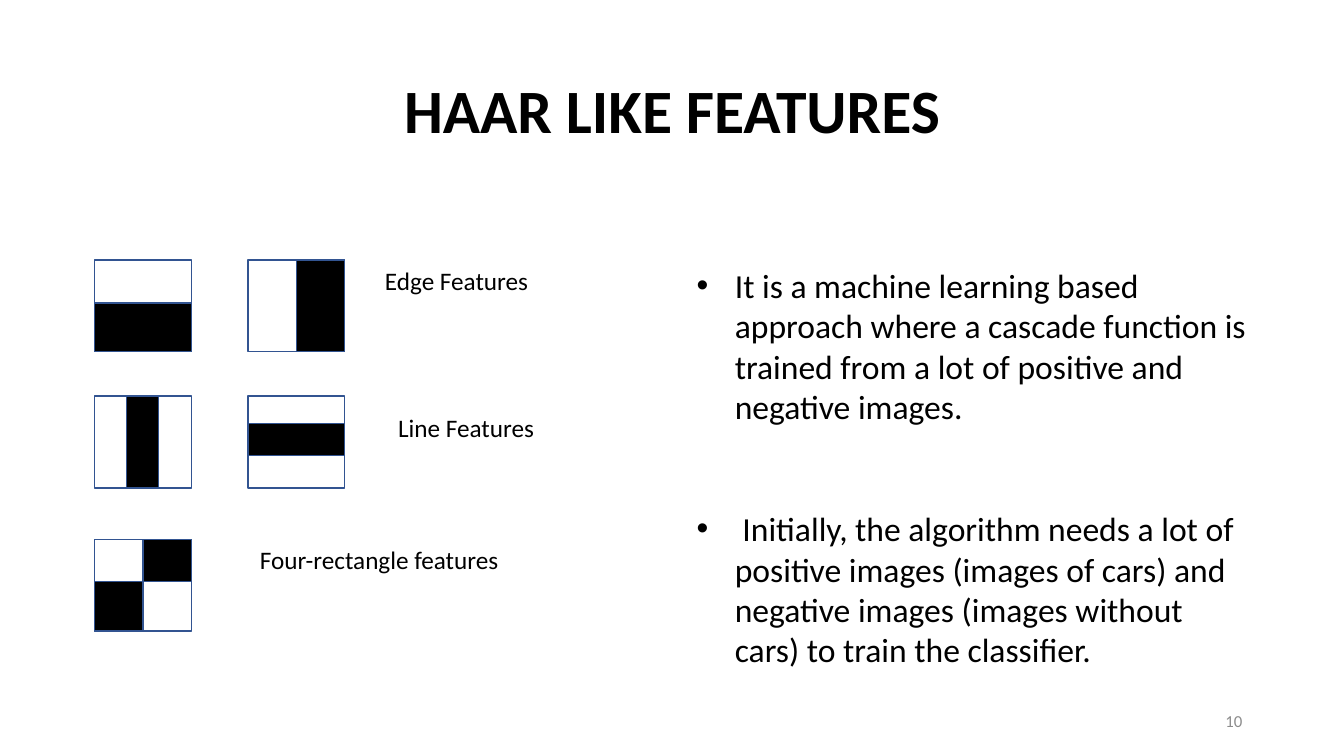
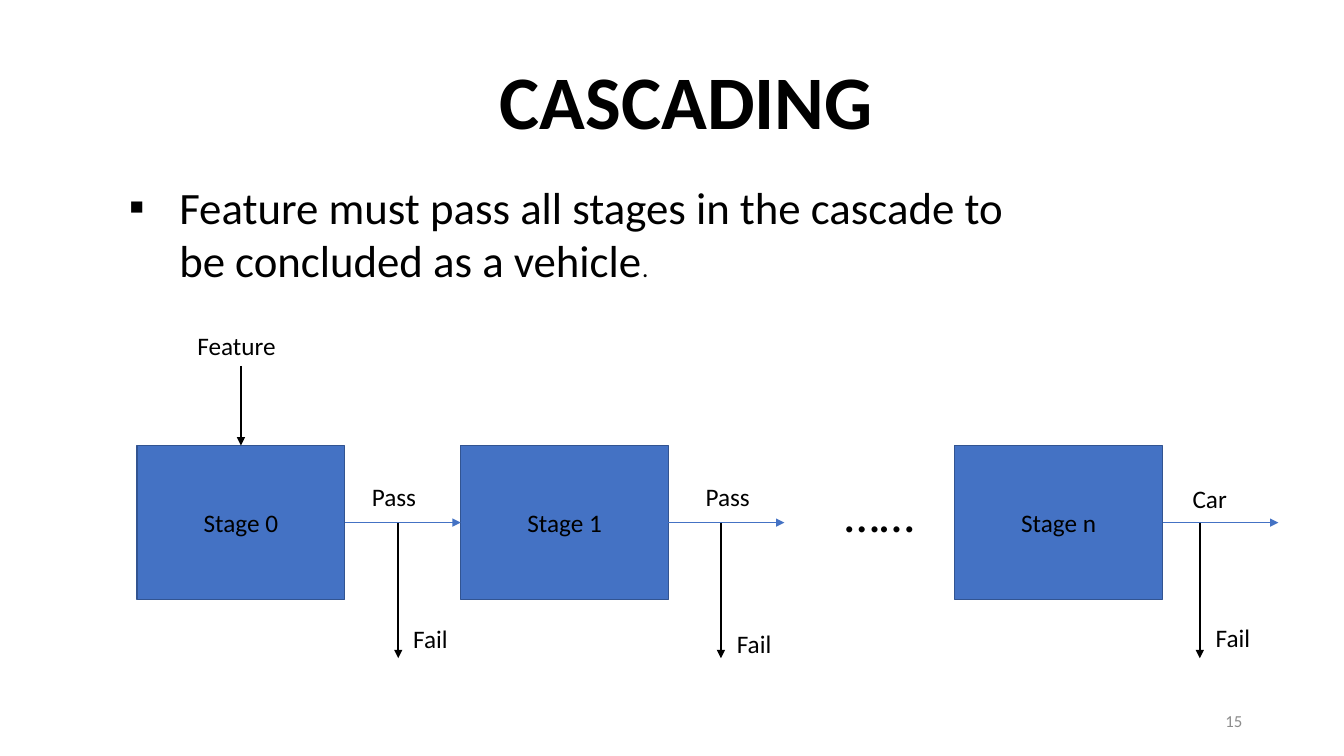
import dataclasses

import lxml.etree
import pptx
import pptx.dml.color
import pptx.enum.shapes
import pptx.enum.text
import pptx.oxml.ns
import pptx.util

Inches = pptx.util.Inches
Pt = pptx.util.Pt
Align = pptx.enum.text.PP_ALIGN
Anchor = pptx.enum.text.MSO_ANCHOR
qn = pptx.oxml.ns.qn


@dataclasses.dataclass(frozen=True)
class Theme:
    font: str = "Calibri"
    bullet_font: str = "Arial"
    black: str = "000000"
    white: str = "FFFFFF"
    blue: str = "4472C4"
    outline: str = "325491"
    grey: str = "8C8C8C"
    number_size: int = 12
    label_size: int = 18
    body_size: int = 24
    lead_size: int = 32
    dots_size: int = 36
    title_size: int = 44
    big_title_size: int = 54


THEME = Theme()


def rgb(value):
    return pptx.dml.color.RGBColor.from_string(value)


def add_run(paragraph, text, *, size=THEME.label_size, color=THEME.black, bold=False):
    run = paragraph.add_run()
    run.text = text
    run.font.name = THEME.font
    run.font.size = Pt(size)
    run.font.bold = bold
    run.font.color.rgb = rgb(color)


def write_text(paragraph, text, *, align=Align.LEFT, spacing=None, before=0,
               bullet=None, indent=0, **run_format):
    """Write one formatted paragraph, with a hanging bullet if one is given."""
    paragraph.alignment = align
    paragraph.space_before = Pt(before)
    if spacing:
        paragraph.line_spacing = spacing
    if bullet:
        properties = paragraph._p.get_or_add_pPr()
        properties.set("marL", str(Inches(indent)))
        properties.set("indent", str(-Inches(indent)))
        lxml.etree.SubElement(properties, qn("a:buFont"), typeface=THEME.bullet_font)
        lxml.etree.SubElement(properties, qn("a:buChar"), char=bullet)
    add_run(paragraph, text, **run_format)


class Deck:
    """Holds the theme, the presentation and the current slide."""

    def __init__(self, theme):
        self.theme = theme
        self.presentation = pptx.Presentation()
        self.presentation.slide_width = Inches(13.33)
        self.presentation.slide_height = Inches(7.5)
        self.slide = None

    def start_slide(self, title, number, *, left, top, size):
        layout = self.presentation.slide_layouts[6]
        self.slide = self.presentation.slides.add_slide(layout)
        self.text(title, left, top, 11.5, 1.45, anchor=Anchor.MIDDLE,
                  align=Align.CENTER, spacing=0.9, size=size, bold=True)
        self.text(str(number), 9.42, 6.95, 3, 0.4, anchor=Anchor.MIDDLE,
                  align=Align.RIGHT, size=self.theme.number_size, color=self.theme.grey)

    def text(self, text, left, top, width, height=0.4, *, anchor=Anchor.TOP, **text_format):
        box = self.slide.shapes.add_textbox(
            Inches(left), Inches(top), Inches(width), Inches(height))
        box.text_frame.word_wrap = True
        box.text_frame.vertical_anchor = anchor
        write_text(box.text_frame.paragraphs[0], text, **text_format)
        return box.text_frame

    def rectangle(self, left, top, width, height, fill, text=None):
        shape = self.slide.shapes.add_shape(
            pptx.enum.shapes.MSO_SHAPE.RECTANGLE,
            Inches(left), Inches(top), Inches(width), Inches(height))
        shape.shadow.inherit = False
        shape.fill.solid()
        shape.fill.fore_color.rgb = rgb(fill)
        shape.line.color.rgb = rgb(self.theme.outline)
        shape.line.width = Pt(1)
        if text:
            shape.text_frame.vertical_anchor = Anchor.MIDDLE
            write_text(shape.text_frame.paragraphs[0], text, align=Align.CENTER)
        return shape

    def feature_tile(self, left, top, dark_parts):
        """Draw a white tile; dark parts are fractions of its width and height."""
        width, height = 0.96, 0.91
        self.rectangle(left, top, width, height, self.theme.white)
        for x, y, part_width, part_height in dark_parts:
            self.rectangle(left + x * width, top + y * height,
                           part_width * width, part_height * height, self.theme.black)

    def arrow(self, start, end, *, color=THEME.black, weight=1.5, source=None, target=None):
        """Draw an arrow; source and target are (shape, side) pairs to join."""
        connector = self.slide.shapes.add_connector(
            pptx.enum.shapes.MSO_CONNECTOR.STRAIGHT,
            *(Inches(value) for value in (*start, *end)))
        if source:
            connector.begin_connect(*source)
        if target:
            connector.end_connect(*target)
        connector.line.color.rgb = rgb(color)
        connector.line.width = Pt(weight)
        lxml.etree.SubElement(connector.get_or_add_ln(), qn("a:tailEnd"), type="triangle")
        lxml.etree.SubElement(connector._element.spPr, qn("a:effectLst"))


def build_haar_slide(deck):
    deck.start_slide("HAAR LIKE FEATURES", 10, left=0.92, top=0.4, size=THEME.title_size)

    # Feature tiles, one row for each kind
    columns = (0.94, 2.46)
    rows = [
        (2.58, [[(0, 0.47, 1, 0.53)], [(0.5, 0, 0.5, 1)]]),
        (3.93, [[(0.33, 0, 0.33, 1)], [(0, 0.3, 1, 0.35)]]),
        (5.35, [[(0.5, 0, 0.5, 0.46), (0, 0.46, 0.5, 0.54)]]),
    ]
    for top, tiles in rows:
        for left, dark_parts in zip(columns, tiles):
            deck.feature_tile(left, top, dark_parts)

    # Row labels
    deck.text("Edge Features", 3.72, 2.58, 1.84)
    deck.text("Line Features", 3.85, 4.04, 1.71)
    deck.text("Four-rectangle features", 2.48, 5.35, 2.76)

    # Explanation
    bullets = dict(bullet="•", indent=0.38, size=THEME.body_size)
    frame = deck.text(
        "It is a machine learning based approach where a cascade function is "
        "trained from a lot of positive and negative images.",
        6.81, 2.58, 5.72, 4.14, **bullets)
    write_text(
        frame.add_paragraph(),
        " Initially, the algorithm needs a lot of positive images (images of cars) "
        "and negative images (images without cars) to train the classifier.",
        before=58.5, **bullets)


def build_cascade_slide(deck):
    deck.start_slide("CASCADING", 15, left=1.06, top=0.32, size=THEME.big_title_size)

    # Statement
    frame = deck.text(
        "Feature must pass all stages in the cascade to be concluded as a vehicle",
        1.18, 1.73, 9.33, 1.18, bullet="▪", indent=0.5, size=THEME.lead_size)
    add_run(frame.paragraphs[0], ".")

    # Stages
    top, width, height = 4.42, 2.06, 1.53
    middle = top + height / 2
    lefts = (1.36, 4.57, 9.47)
    names = ("Stage 0", "Stage 1", "Stage n")
    stages = [deck.rectangle(left, top, width, height, THEME.blue, name)
              for left, name in zip(lefts, names)]

    # Input
    center = lefts[0] + width / 2
    deck.text("Feature", 1.86, 3.23, 1.12)
    deck.arrow((center, 3.63), (center, top), target=(stages[0], 0))

    # Outcomes: label, its left and top, fail arrow, fail label left and top, next stage
    outcomes = [
        ("Pass", 3.59, 4.73, 3.95, 4, 6.13, stages[1]),
        ("Pass", 6.9, 4.73, 7.15, 7.21, 6.18, None),
        ("Car", 11.73, 4.75, 11.9, 11.96, 6.12, None),
    ]
    for stage, left, outcome in zip(stages, lefts, outcomes):
        label, label_left, label_top, fail_x, fail_left, fail_top, following = outcome
        right = left + width
        deck.arrow((right, middle), (right + 1.15, middle), color=THEME.blue, weight=0.5,
                   source=(stage, 3), target=(following, 1) if following else None)
        deck.arrow((fail_x, middle), (fail_x, 6.53))
        deck.text(label, label_left, label_top, 0.77)
        deck.text("Fail", fail_left, fail_top, 0.77)

    # Omitted stages
    deck.text("……", 8.28, 4.73, 1.46, 0.71, size=THEME.dots_size)


def main():
    deck = Deck(THEME)
    build_haar_slide(deck)
    build_cascade_slide(deck)
    deck.presentation.save("out.pptx")


if __name__ == "__main__":
    main()
